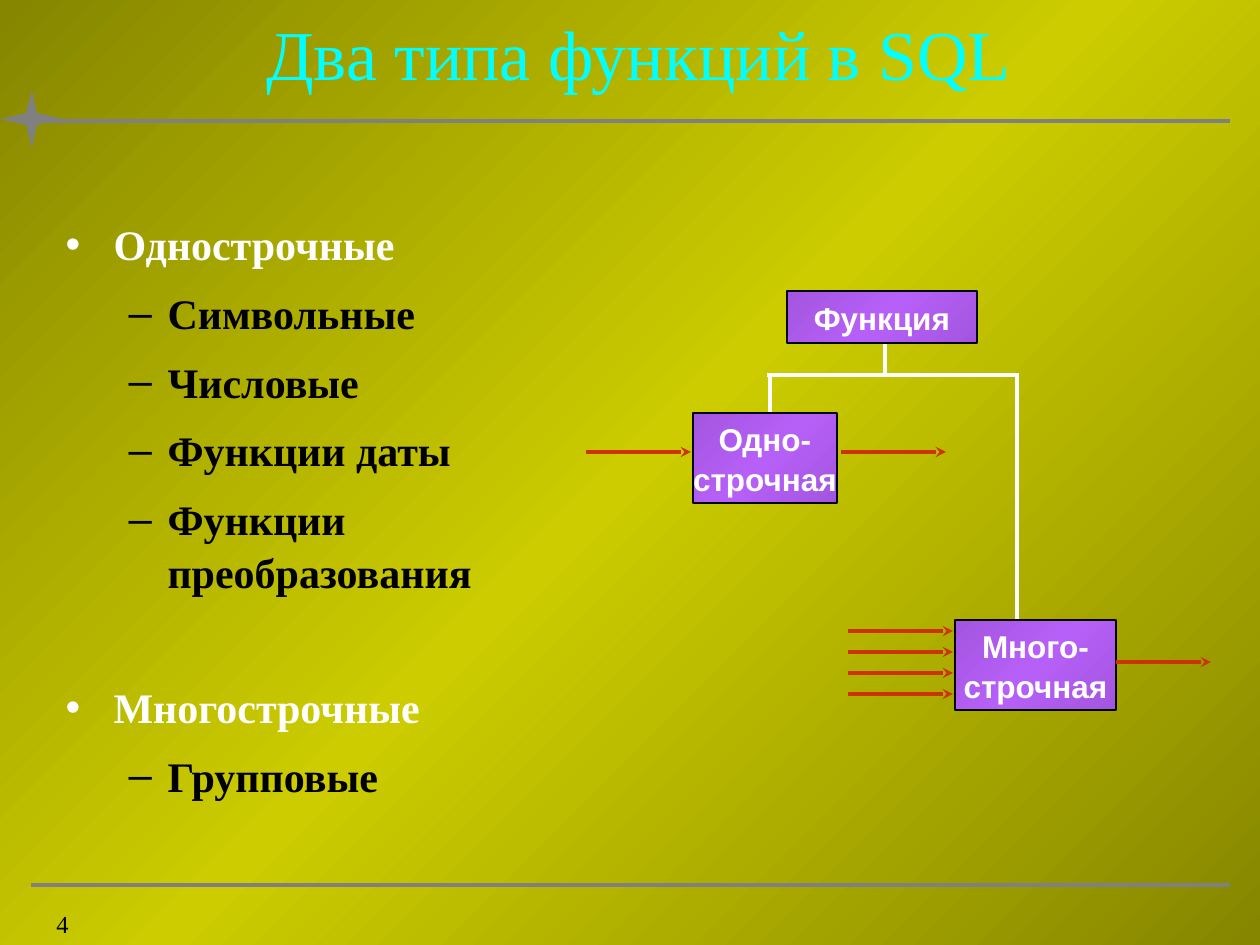
from copy import deepcopy

from pptx import Presentation
from pptx.dml.color import RGBColor as RGB
from pptx.enum.shapes import MSO_CONNECTOR as CONN, MSO_SHAPE as SHAPE
from pptx.enum.text import MSO_ANCHOR as ANCHOR, MSO_AUTO_SIZE as FIT, PP_ALIGN as ALIGN
from pptx.oxml.ns import qn
from pptx.util import Emu, Pt

OLIVE = RGB(0x86, 0x86, 0x00)
YELLOW = RGB(0xCC, 0xCC, 0x00)
PURPLE = RGB(0xA3, 0x55, 0xDE)
VIOLET = RGB(0xB7, 0x60, 0xF9)
GRAY = RGB(0x80, 0x80, 0x80)
CYAN = RGB(0x00, 0xFF, 0xFF)
RED = RGB(0xCC, 0x33, 0x00)
WHITE = RGB(0xFF, 0xFF, 0xFF)
BLACK = RGB(0x00, 0x00, 0x00)
SERIF, SANS = "Times New Roman", "Arial"
SCALE = 914400 / 126


def px(n):
    return Emu(round(n * SCALE))


class Deck:
    line_spacing = 1.05
    title = {"name": SERIF, "size": Pt(40), "bold": False}
    item = {"name": SERIF, "size": Pt(24), "bold": True}
    label = {"name": SANS, "size": Pt(18), "bold": True}
    number = {"name": SERIF, "size": Pt(14), "bold": False}

    def __init__(self, prs):
        self.s = prs.slides.add_slide(prs.slide_layouts[1])
        self.shapes = self.s.shapes

    def gradient(self, fill, root, edge, middle):
        fill.gradient()
        fill.gradient_angle = 135
        stops = root.find(".//" + qn("a:gsLst"))
        stops.insert(1, deepcopy(stops[0]))
        for stop, pos, color in zip(fill.gradient_stops, (0, 0.5, 1), (edge, middle, edge)):
            stop.position = pos
            stop.color.rgb = color

    def background(self, edge, middle):
        self.gradient(self.s.background.fill, self.s.element, edge, middle)

    def place(self, sp, x, y, w, h):
        sp.left, sp.top, sp.width, sp.height = map(px, (x, y, w, h))

    def text(self, p, text, style, color, align=ALIGN.LEFT):
        p.alignment = align
        p.line_spacing = self.line_spacing
        r = p.add_run()
        r.text = text
        for key, value in style.items():
            setattr(r.font, key, value)
        r.font.color.rgb = color

    def frame(self, sp, wrap=True, anchor=ANCHOR.TOP, fit=FIT.NONE):
        tf = sp.text_frame
        tf.word_wrap = wrap
        tf.auto_size = fit
        tf.vertical_anchor = anchor
        return tf

    def heading(self, text, *box):
        sp = self.shapes.title
        self.place(sp, *box)
        self.text(self.frame(sp).paragraphs[0], text, self.title, CYAN, ALIGN.CENTER)

    def bullet(self, p, char, color, margin, hang):
        pPr = p._p.get_or_add_pPr()
        pPr.set("marL", str(px(margin)))
        pPr.set("indent", str(-px(hang)))
        clr = pPr.makeelement(qn("a:buClr"), {})
        clr.append(clr.makeelement(qn("a:srgbClr"), {"val": str(color)}))
        pPr.append(clr)
        pPr.append(pPr.makeelement(qn("a:buChar"), {"char": char}))

    def outline(self, groups, *box):
        sp = self.s.placeholders[1]
        self.place(sp, *box)
        tf = self.frame(sp, fit=FIT.SHAPE_TO_FIT_TEXT)
        p = tf.paragraphs[0]
        for i, (head, items) in enumerate(groups):
            if i:
                p = tf.add_paragraph()
            self.bullet(p, "•", WHITE, 48, 48)
            self.text(p, head, self.item, WHITE)
            p.space_before = Pt(47 if i else 0)
            for text in items:
                p = tf.add_paragraph()
                p.level = 1
                self.bullet(p, "–", BLACK, 102, 39)
                self.text(p, text, self.item, BLACK)
                p.space_before = Pt(9)

    def box(self, lines, *box):
        sp = self.shapes.add_shape(SHAPE.RECTANGLE, *map(px, box))
        sp.shadow.inherit = False
        self.gradient(sp.fill, sp.element, PURPLE, VIOLET)
        sp.line.color.rgb = BLACK
        sp.line.width = Pt(1)
        tf = self.frame(sp, wrap=False, anchor=ANCHOR.MIDDLE)
        for i, text in enumerate(lines):
            p = tf.add_paragraph() if i else tf.paragraphs[0]
            self.text(p, text, self.label, WHITE, ALIGN.CENTER)

    def line(self, x1, y1, x2, y2, color=WHITE, width=2):
        c = self.shapes.add_connector(CONN.STRAIGHT, *map(px, (x1, y1, x2, y2)))
        c.line.color.rgb = color
        c.line.width = Pt(width)
        spPr = c.element.spPr
        spPr.append(spPr.makeelement(qn("a:effectLst"), {}))
        return c

    def arrow(self, x, y, length):
        c = self.line(x, y, x + length, y, RED)
        ln = c.element.spPr.find(qn("a:ln"))
        ln.append(ln.makeelement(qn("a:tailEnd"), {"type": "stealth"}))

    def polygon(self, points, color):
        fb = self.shapes.build_freeform(*points[0], scale=SCALE)
        fb.add_line_segments(points[1:], close=True)
        sp = fb.convert_to_shape()
        sp.shadow.inherit = False
        sp.fill.solid()
        sp.fill.fore_color.rgb = color
        sp.line.fill.background()

    def page_number(self, text, *box):
        tf = self.frame(self.shapes.add_textbox(*map(px, box)))
        self.text(tf.paragraphs[0], text, self.number, BLACK, ALIGN.RIGHT)


def main():
    prs = Presentation()
    prs.slide_width, prs.slide_height = px(1260), px(945)
    d = Deck(prs)
    d.background(OLIVE, YELLOW)

    d.line(31, 885, 1230, 885, GRAY, 2.25)
    d.line(31, 121, 1230, 121, GRAY, 2.25)
    d.polygon([(0, 119), (26, 113), (32, 90), (37, 113),
               (63, 119), (37, 125), (32, 148), (26, 125)], GRAY)

    d.heading("Два типа функций в SQL", 136, 0, 1005, 121)
    d.outline([
        ("Однострочные", ["Символьные", "Числовые", "Функции даты", "Функции преобразования"]),
        ("Многострочные", ["Групповые"]),
    ], 53, 210, 546, 577)

    d.line(1017, 375, 1017, 621)
    d.line(770, 375, 770, 414)
    d.line(885, 331, 885, 373)
    d.line(767, 375, 1019, 375)
    d.box(["Функция"], 787, 291, 190, 52)
    d.box(["Одно-", "строчная"], 693, 413, 144, 90)
    d.box(["Много-", "строчная"], 955, 620, 161, 90)

    d.arrow(586, 452, 105)
    d.arrow(841, 452, 105)
    d.arrow(1116, 662, 95)
    for i in range(4):
        d.arrow(848, 631 + 21 * i, 105)

    d.page_number("4", 0, 901, 81, 44)
    prs.save("out.pptx")


if __name__ == "__main__":
    main()
